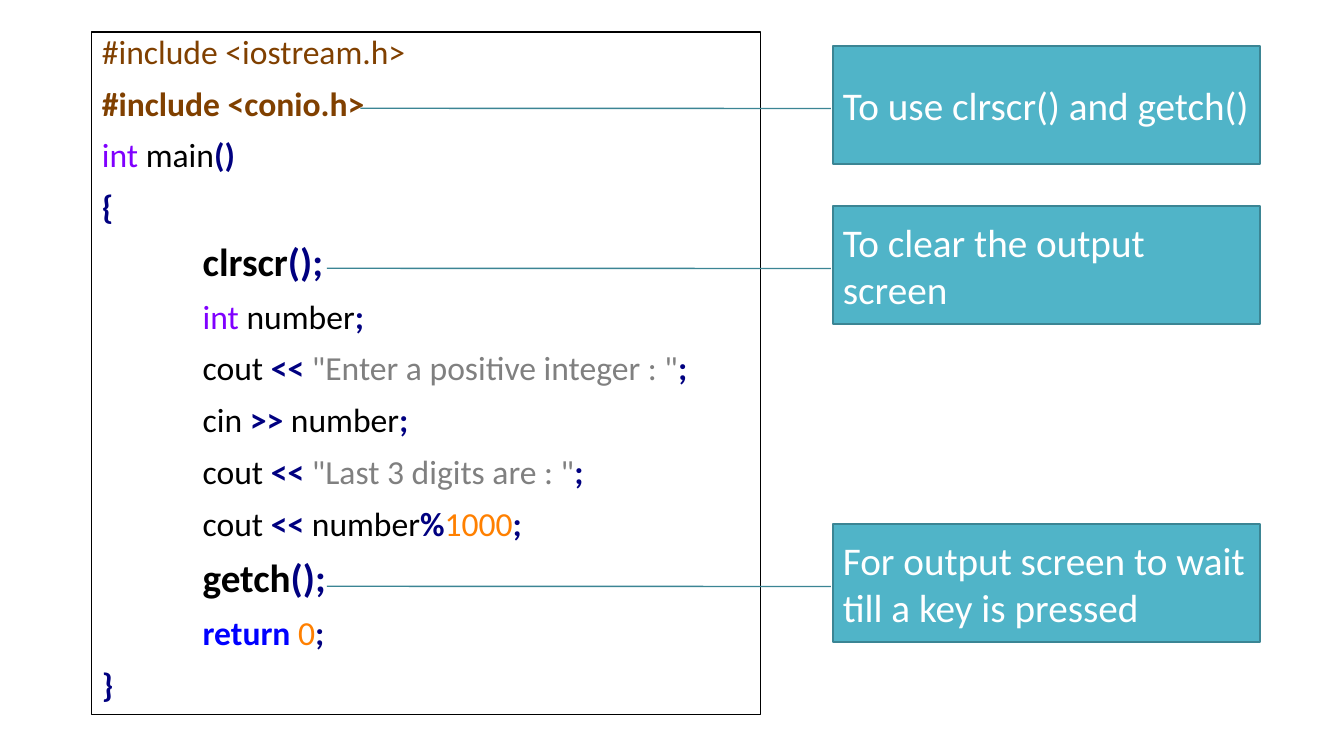
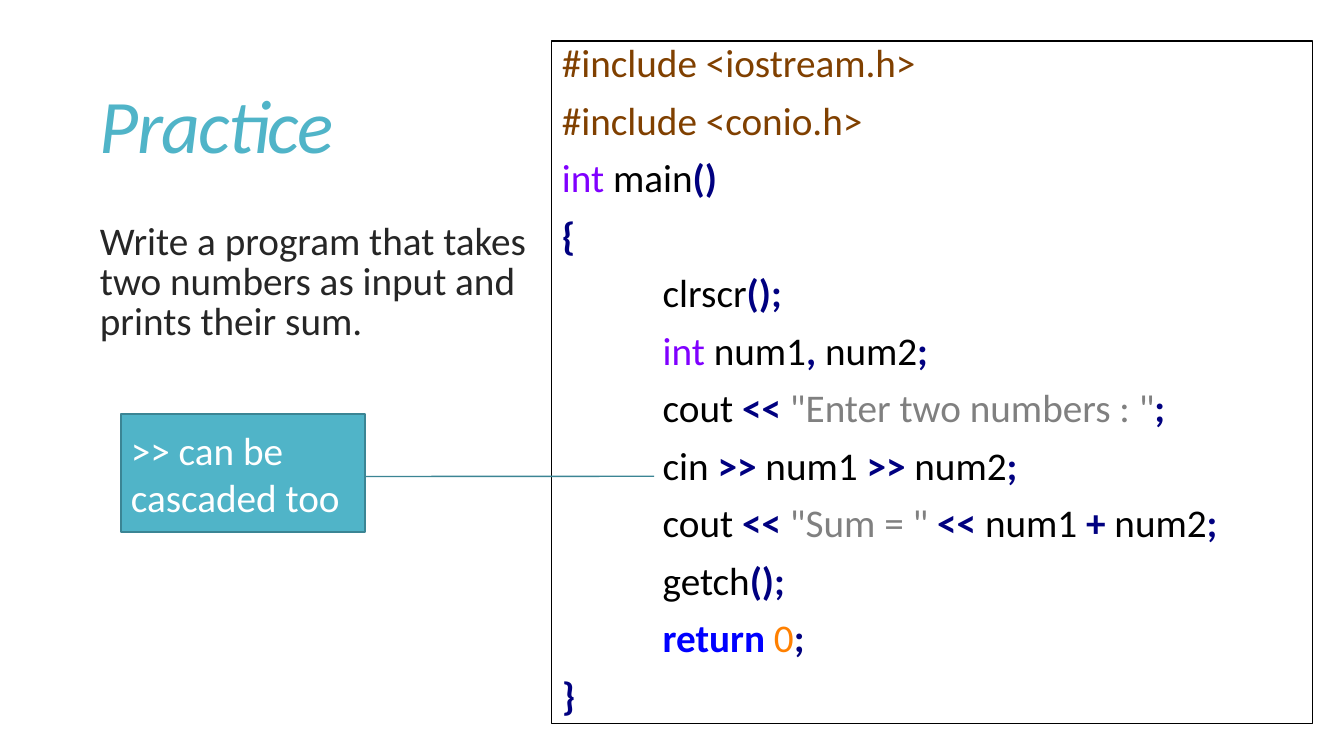
from pptx import Presentation
from pptx.dml.color import RGBColor
from pptx.enum.shapes import MSO_SHAPE as SHAPE
from pptx.enum.text import MSO_ANCHOR as ANCHOR, PP_ALIGN as ALIGN
from pptx.util import Emu, Pt

FONT = "Calibri"
TEAL, TEAL_EDGE, WHITE, BLACK, INK = "50B4C8", "3B8594", "FFFFFF", "000000", "262626"
STYLES = {
    "pre": ("804000", False),
    "pre_bold": ("804000", True),
    "type": ("8000FF", False),
    "name": (BLACK, False),
    "call": (BLACK, True),
    "op": ("000080", True),
    "str": ("808080", False),
    "num": ("FF8000", False),
    "key": ("0000FF", True),
}

IOSTREAM = (0, 0, [("pre", "#include <iostream.h>")])
MAIN = (0, 0, [("type", "int"), ("name", " main"), ("op", "()")])
OPENING = (0, 0, [("op", "{")])
RETURN = (1, 0, [("key", "return "), ("num", "0"), ("op", ";")])
CLOSING = (0, 0, [("op", "}")])

DIGITS_CODE = [
    IOSTREAM,
    (0, 0, [("pre_bold", "#include <conio.h>")]),
    MAIN,
    OPENING,
    (1, 4, [("call", "clrscr"), ("op", "();")]),
    (1, 0, [("type", "int"), ("name", " number"), ("op", ";")]),
    (1, 0, [("name", "cout "), ("op", "<< "), ("str", '"Enter a positive integer : "'), ("op", ";")]),
    (1, 0, [("name", "cin "), ("op", ">>"), ("name", " number"), ("op", ";")]),
    (1, 0, [("name", "cout "), ("op", "<< "), ("str", '"Last 3 digits are : "'), ("op", ";")]),
    (1, 0, [("name", "cout "), ("op", "<<"), ("name", " number"), ("op", "%"), ("num", "1000"), ("op", ";")]),
    (1, 4, [("call", "getch"), ("op", "();")]),
    RETURN,
    CLOSING,
]
SUM_CODE = [
    IOSTREAM,
    (0, 0, [("pre", "#include <conio.h>")]),
    MAIN,
    OPENING,
    (1, 0, [("name", "clrscr"), ("op", "();")]),
    (1, 0, [("type", "int "), ("name", "num1"), ("op", ", "), ("name", "num2"), ("op", ";")]),
    (1, 0, [("name", "cout "), ("op", "<< "), ("str", '"Enter two numbers : "'), ("op", ";")]),
    (1, 0, [("name", "cin "), ("op", ">>"), ("name", " num1 "), ("op", ">> "), ("name", "num2"), ("op", ";")]),
    (1, 0, [("name", "cout "), ("op", "<< "), ("str", '"Sum = " '), ("op", "<<"), ("name", " num1 "),
            ("op", "+ "), ("name", "num2"), ("op", ";")]),
    (1, 0, [("name", "getch"), ("op", "();")]),
    RETURN,
    CLOSING,
]
LEFT_NEAR, LEFT_FAR, LEFT_MID = -0.005, -1.185, -1.107
RIGHT_NEAR, RIGHT_FAR = 1.005, 2.185
SLIDES = [
    {
        "code": (92, 32, 669, 24, DIGITS_CODE),
        "callouts": [
            (833, 46, 427, LEFT_NEAR, LEFT_MID, "To use clrscr() and getch()"),
            (833, 206, 427, LEFT_NEAR, LEFT_FAR, "To clear the output screen"),
            (833, 524, 427, LEFT_NEAR, LEFT_FAR, "For output screen to wait till a key is pressed"),
        ],
    },
    {
        "title": "Practice",
        "task": "Write a program that takes two numbers as input and prints their sum.",
        "code": (552, 41, 761, 28, SUM_CODE),
        "callouts": [(121, 414, 244, RIGHT_NEAR, RIGHT_FAR, ">> can be cascaded too")],
    },
]
CODE_HEIGHT, CALLOUT_HEIGHT = 683, 118
TITLE_BOX, TASK_BOX = (90, 39, 1170, 183), (90, 219, 463, 160)
LINE_SPACING, CODE_GAP = 0.85, 12.5


def px(n):
    return Emu(round(n * 914400 / 100.8))


def rgb(value):
    return RGBColor.from_string(value)


def add_run(p, text, size, color, bold=False, italic=False):
    r = p.add_run()
    r.text = text
    f = r.font
    f.name, f.size, f.bold, f.italic = FONT, Pt(size), bold, italic
    f.color.rgb = rgb(color)
    return r


def frame(sp, anchor):
    tf = sp.text_frame
    tf.word_wrap = True
    tf.vertical_anchor = anchor
    tf.paragraphs[0].alignment = ALIGN.LEFT
    return tf


def add_box(s, kind, box, line, width, fill=None):
    sp = s.shapes.add_shape(kind, *map(px, box))
    sp.shadow.inherit = False
    if fill:
        sp.fill.solid()
        sp.fill.fore_color.rgb = rgb(fill)
    else:
        sp.fill.background()
    sp.line.color.rgb = rgb(line)
    sp.line.width = Pt(width)
    return sp


def add_code(s, left, top, width, size, lines):
    sp = add_box(s, SHAPE.RECTANGLE, (left, top, width, CODE_HEIGHT), BLACK, 0.75)
    tf = frame(sp, ANCHOR.TOP)
    for i, (level, extra, runs) in enumerate(lines):
        p = tf.add_paragraph() if i else tf.paragraphs[0]
        p.alignment = ALIGN.LEFT
        p.line_spacing = LINE_SPACING
        p.space_before = Pt(CODE_GAP)
        p._p.get_or_add_pPr().set("marL", str(level * 914400))
        for style, text in runs:
            color, bold = STYLES[style]
            add_run(p, text, size + extra, color, bold)


def add_callout(s, left, top, width, near, far, text):
    box = (left, top, width, CALLOUT_HEIGHT)
    sp = add_box(s, SHAPE.LINE_CALLOUT_1, box, TEAL_EDGE, 1, TEAL)
    for i, value in enumerate((0.53, near, 0.528, far)):
        sp.adjustments[i] = value
    add_run(frame(sp, ANCHOR.MIDDLE).paragraphs[0], text, 28, WHITE)


def add_text(s, box, anchor, text, size, color, italic=False):
    tf = frame(s.shapes.add_textbox(*map(px, box)), anchor)
    p = tf.paragraphs[0]
    p.line_spacing = LINE_SPACING
    return add_run(p, text, size, color, italic=italic)


prs = Presentation()
prs.slide_width, prs.slide_height = px(1344), px(756)
for content in SLIDES:
    s = prs.slides.add_slide(prs.slide_layouts[6])
    if "title" in content:
        r = add_text(s, TITLE_BOX, ANCHOR.MIDDLE, content["title"], 54, TEAL, True)
        r._r.get_or_add_rPr().set("spc", "-120")
        add_text(s, TASK_BOX, ANCHOR.TOP, content["task"], 28, INK)
    add_code(s, *content["code"])
    for callout in content["callouts"]:
        add_callout(s, *callout)
prs.save("out.pptx")
